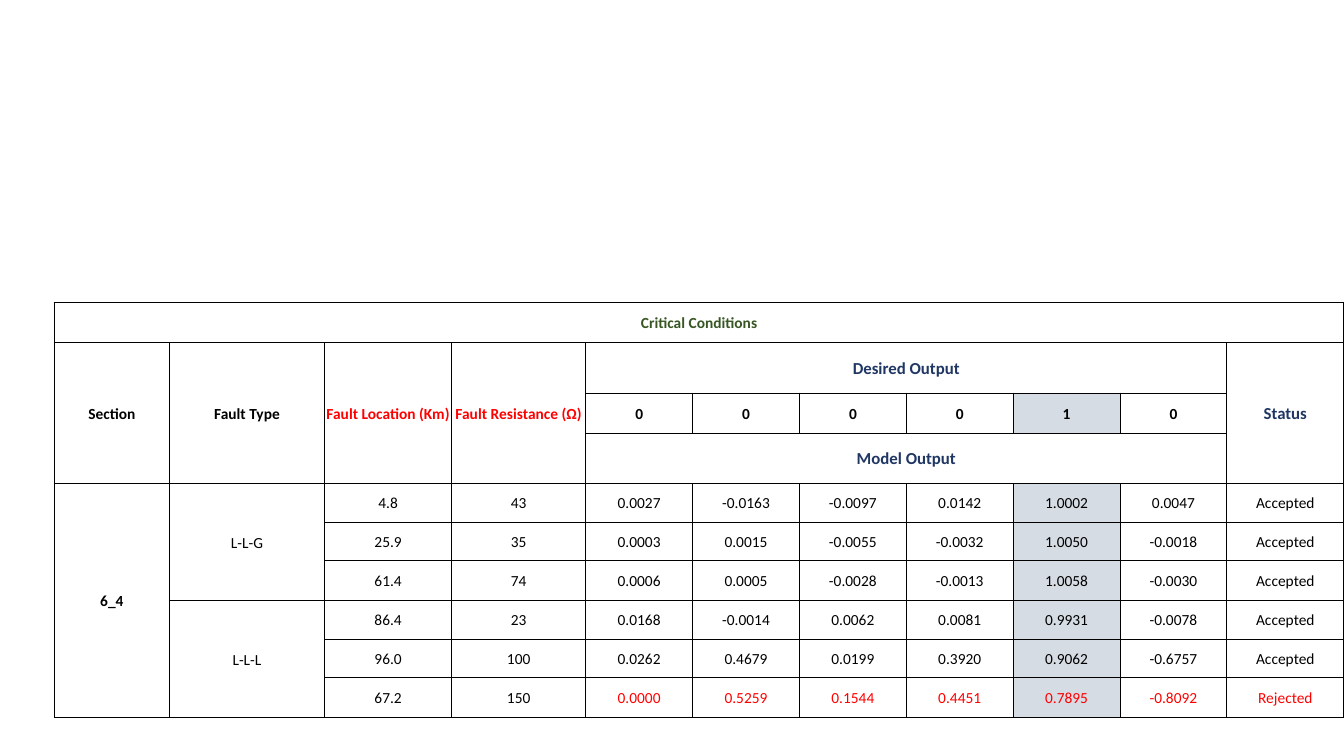
import dataclasses

import lxml.etree
import pptx
import pptx.dml.color
import pptx.enum.text
import pptx.oxml.ns
import pptx.table
import pptx.util

Inches = pptx.util.Inches
RGBColor = pptx.dml.color.RGBColor

BLACK = RGBColor(0x00, 0x00, 0x00)
RED = RGBColor(0xFF, 0x00, 0x00)
GREEN = RGBColor(0x37, 0x56, 0x23)
NAVY = RGBColor(0x20, 0x37, 0x64)
SHADE = RGBColor(0xD6, 0xDC, 0xE4)

COLUMN_WIDTHS = [1.14, 1.54, 1.26, 1.33] + [1.06] * 6 + [1.16]
ROW_HEIGHTS = [0.4, 0.5, 0.4, 0.5] + [0.38, 0.38, 0.4] * 2
FIRST_OUTPUT = 4
FIRST_RESULT = 4
THIN_COLUMN_EDGES = {5, 6, 7, 8, 9}
THIN_ROW_EDGES = {5, 6, 8, 9}

DESIRED_OUTPUTS = ["0", "0", "0", "0", "1", "0"]
ACTIVE_COLUMN = FIRST_OUTPUT + DESIRED_OUTPUTS.index("1")
RESULTS = [
    ["4.8", "43", "0.0027", "-0.0163", "-0.0097", "0.0142", "1.0002", "0.0047", "Accepted"],
    ["25.9", "35", "0.0003", "0.0015", "-0.0055", "-0.0032", "1.0050", "-0.0018", "Accepted"],
    ["61.4", "74", "0.0006", "0.0005", "-0.0028", "-0.0013", "1.0058", "-0.0030", "Accepted"],
    ["86.4", "23", "0.0168", "-0.0014", "0.0062", "0.0081", "0.9931", "-0.0078", "Accepted"],
    ["96.0", "100", "0.0262", "0.4679", "0.0199", "0.3920", "0.9062", "-0.6757", "Accepted"],
    ["67.2", "150", "0.0000", "0.5259", "0.1544", "0.4451", "0.7895", "-0.8092", "Rejected"],
]


@dataclasses.dataclass(frozen=True)
class Region:
    row: int
    column: int
    text: str
    rows: int = 1
    columns: int = 1
    size: int = 11
    color: RGBColor = BLACK
    bold: bool = False
    shaded: bool = False


HEADINGS = [
    Region(0, 0, "Critical Conditions", columns=11, color=GREEN, bold=True),
    Region(1, 0, "Section", rows=3, bold=True),
    Region(1, 1, "Fault Type", rows=3, bold=True),
    Region(1, 2, "Fault Location (Km)", rows=3, color=RED, bold=True),
    Region(1, 3, "Fault Resistance (Ω)", rows=3, color=RED, bold=True),
    Region(1, 4, "Desired Output", columns=6, size=12, color=NAVY, bold=True),
    Region(1, 10, "Status", rows=3, size=12, color=NAVY, bold=True),
    Region(3, 4, "Model Output", columns=6, size=12, color=NAVY, bold=True),
    Region(4, 0, "6_4", rows=6, bold=True),
    Region(4, 1, "L-L-G", rows=3),
    Region(7, 1, "L-L-L", rows=3),
]


def table_regions() -> list[Region]:
    regions = list(HEADINGS)
    for column, text in enumerate(DESIRED_OUTPUTS, FIRST_OUTPUT):
        regions.append(Region(2, column, text, bold=True, shaded=column == ACTIVE_COLUMN))
    for row, values in enumerate(RESULTS, FIRST_RESULT):
        rejected = values[-1] == "Rejected"
        for column, text in enumerate(values, 2):
            color = RED if rejected and column >= FIRST_OUTPUT else BLACK
            regions.append(Region(row, column, text, color=color, shaded=column == ACTIVE_COLUMN))
    return regions


def write_text(cell: pptx.table._Cell, text: str, *, size: int, color: RGBColor, bold: bool) -> None:
    cell.vertical_anchor = pptx.enum.text.MSO_ANCHOR.MIDDLE
    cell.margin_left = cell.margin_right = cell.margin_top = Inches(0.01)
    cell.margin_bottom = Inches(0)
    paragraph = cell.text_frame.paragraphs[0]
    paragraph.alignment = pptx.enum.text.PP_ALIGN.CENTER
    run = paragraph.add_run()
    run.text = text
    run.font.name = "Calibri"
    run.font.size = pptx.util.Pt(size)
    run.font.bold = bold
    run.font.color.rgb = color


def add_border(cell: pptx.table._Cell, side: str, thin: bool) -> None:
    qn = pptx.oxml.ns.qn
    properties = cell._tc.get_or_add_tcPr()
    width = pptx.util.Pt(0.5 if thin else 1)
    line = lxml.etree.SubElement(properties, qn(f"a:ln{side}"), w=str(width))
    fill = lxml.etree.SubElement(line, qn("a:solidFill"))
    lxml.etree.SubElement(fill, qn("a:srgbClr"), val=str(BLACK))


def draw_region(table: pptx.table.Table, region: Region) -> None:
    bottom = region.row + region.rows
    right = region.column + region.columns
    origin = table.cell(region.row, region.column)
    if region.rows * region.columns > 1:
        origin.merge(table.cell(bottom - 1, right - 1))
    for row in range(region.row, bottom):
        for column in range(region.column, right):
            cell = table.cell(row, column)
            is_origin = (row, column) == (region.row, region.column)
            borders = [
                ("L", column == region.column, region.column in THIN_COLUMN_EDGES),
                ("R", column == right - 1, right in THIN_COLUMN_EDGES),
                ("T", row == region.row, region.row in THIN_ROW_EDGES),
                ("B", row == bottom - 1, bottom in THIN_ROW_EDGES),
            ]
            for side, on_edge, thin in borders:
                if is_origin or on_edge:
                    add_border(cell, side, thin)
            if region.shaded:
                cell.fill.solid()
                cell.fill.fore_color.rgb = SHADE
            else:
                cell.fill.background()
    write_text(origin, region.text, size=region.size, color=region.color, bold=region.bold)


def main() -> None:
    presentation = pptx.Presentation()
    presentation.slide_width = Inches(13.33)
    presentation.slide_height = Inches(7.5)
    slide = presentation.slides.add_slide(presentation.slide_layouts[6])
    table = slide.shapes.add_table(
        len(ROW_HEIGHTS), len(COLUMN_WIDTHS),
        Inches(0.54), Inches(3), Inches(sum(COLUMN_WIDTHS)), Inches(sum(ROW_HEIGHTS)),
    ).table
    table.first_row = False
    table.horz_banding = False
    for column, width in zip(table.columns, COLUMN_WIDTHS):
        column.width = Inches(width)
    for row, height in zip(table.rows, ROW_HEIGHTS):
        row.height = Inches(height)
    for region in table_regions():
        draw_region(table, region)
    presentation.save("out.pptx")


if __name__ == "__main__":
    main()
